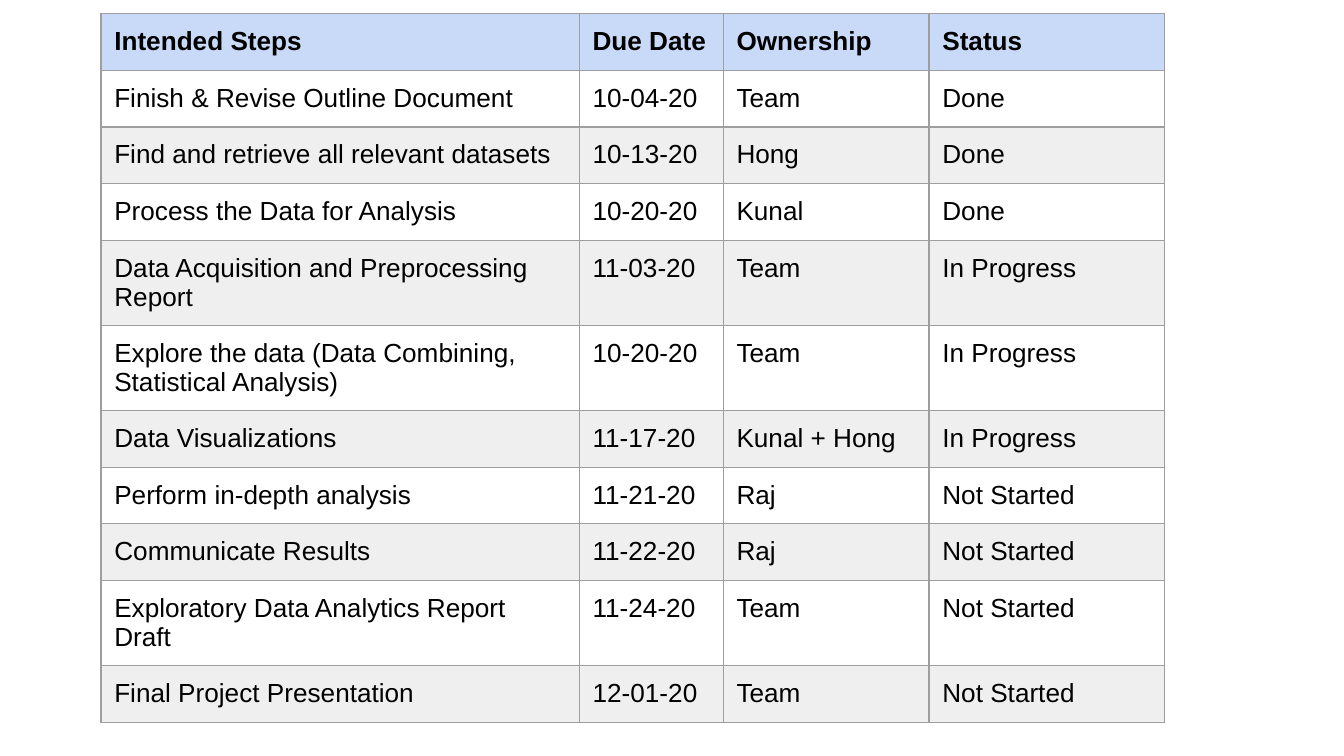
from typing import NamedTuple

from lxml import etree
from pptx import Presentation
from pptx import util as u
from pptx.dml.color import RGBColor
from pptx.enum import text
from pptx.oxml.ns import qn
from pptx.table import _Cell

FONT = "Arial"
BLACK = "000000"
HEADER_FILL = "C9DAF8"
BAND_FILL = "EFEFEF"
BORDER = "9E9E9E"
COLUMN_WIDTHS = (9.04, 2.72, 3.89, 4.45)
ROW_HEIGHT = 1.07
CELL_MARGIN = 0.25


class Step(NamedTuple):
    name: str
    due: str
    owner: str
    status: str


HEADER = Step("Intended Steps", "Due Date", "Ownership", "Status")
STEPS = [
    Step("Finish & Revise Outline Document", "10-04-20", "Team", "Done"),
    Step("Find and retrieve all relevant datasets", "10-13-20", "Hong", "Done"),
    Step("Process the Data for Analysis", "10-20-20", "Kunal", "Done"),
    Step("Data Acquisition and Preprocessing Report", "11-03-20", "Team", "In Progress"),
    Step("Explore the data (Data Combining, Statistical Analysis)", "10-20-20", "Team", "In Progress"),
    Step("Data Visualizations", "11-17-20", "Kunal + Hong", "In Progress"),
    Step("Perform in-depth analysis", "11-21-20", "Raj", "Not Started"),
    Step("Communicate Results", "11-22-20", "Raj", "Not Started"),
    Step("Exploratory Data Analytics Report Draft", "11-24-20", "Team", "Not Started"),
    Step("Final Project Presentation", "12-01-20", "Team", "Not Started"),
]


def color(value: str) -> RGBColor:
    return RGBColor.from_string(value)


def write_text(cell: _Cell, words: str, *, size: float = 14, bold: bool = False, ink: str = BLACK) -> None:
    para = cell.text_frame.paragraphs[0]
    para.alignment = text.PP_ALIGN.LEFT
    span = para.add_run()
    span.text = words
    span.font.name = FONT
    span.font.size = u.Pt(size)
    span.font.bold = bold
    span.font.color.rgb = color(ink)


def draw_borders(cell: _Cell, ink: str = BORDER, width: float = 0.75) -> None:
    properties = cell._tc.get_or_add_tcPr()
    for side in ("lnL", "lnR", "lnT", "lnB"):
        line = etree.SubElement(properties, qn(f"a:{side}"), w=str(u.Pt(width)))
        fill = etree.SubElement(line, qn("a:solidFill"))
        etree.SubElement(fill, qn("a:srgbClr"), val=str(color(ink)))


def paint_cell(cell: _Cell, fill: str | None) -> None:
    margin = u.Cm(CELL_MARGIN)
    cell.margin_left = cell.margin_right = margin
    cell.margin_top = cell.margin_bottom = margin
    cell.vertical_anchor = text.MSO_ANCHOR.TOP
    draw_borders(cell)
    if fill:
        cell.fill.solid()
        cell.fill.fore_color.rgb = color(fill)
    else:
        cell.fill.background()


def row_fill(index: int) -> str | None:
    if index == 0:
        return HEADER_FILL
    return BAND_FILL if index % 2 == 0 else None


def main() -> None:
    deck = Presentation()
    deck.slide_width, deck.slide_height = u.Cm(25.4), u.Cm(14.29)
    page = deck.slides.add_slide(deck.slide_layouts[6])

    rows = [HEADER, *STEPS]
    schedule = page.shapes.add_table(
        len(rows), len(COLUMN_WIDTHS), u.Cm(1.91), u.Cm(0.26),
        u.Cm(sum(COLUMN_WIDTHS)), u.Cm(ROW_HEIGHT * len(rows)),
    ).table
    schedule.first_row = schedule.horz_banding = False
    for column, width in zip(schedule.columns, COLUMN_WIDTHS):
        column.width = u.Cm(width)
    for index, (row, step) in enumerate(zip(schedule.rows, rows)):
        row.height = u.Cm(ROW_HEIGHT)
        for cell, words in zip(row.cells, step):
            paint_cell(cell, row_fill(index))
            write_text(cell, words, bold=index == 0)

    deck.save("out.pptx")


if __name__ == "__main__":
    main()
